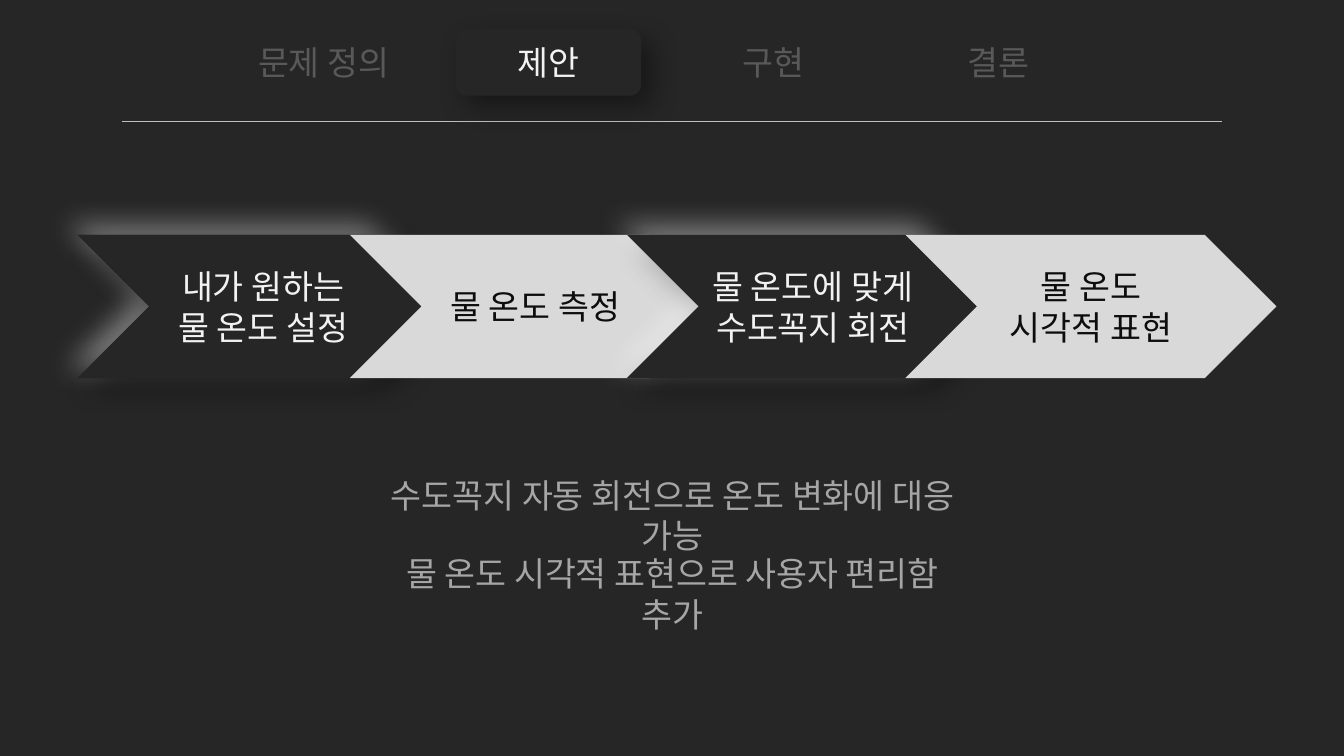
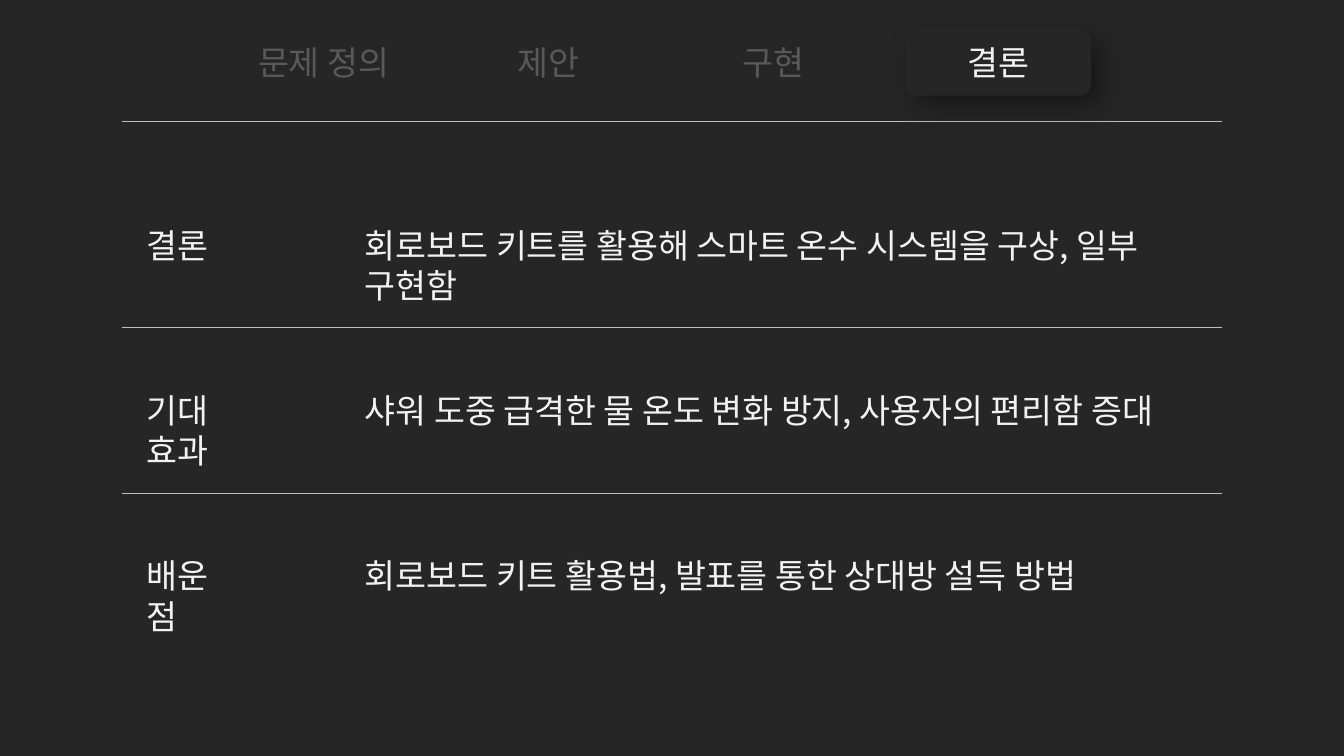
import dataclasses

import lxml.etree
import pptx
import pptx.dml.color
import pptx.enum.shapes
import pptx.enum.text
import pptx.oxml.ns
import pptx.util

Inches, Pt = pptx.util.Inches, pptx.util.Pt
RGB = pptx.dml.color.RGBColor.from_string
SHAPE = pptx.enum.shapes.MSO_SHAPE
ALIGN = pptx.enum.text.PP_ALIGN
ANCHOR = pptx.enum.text.MSO_ANCHOR
qn = pptx.oxml.ns.qn


@dataclasses.dataclass(frozen=True)
class Theme:
    """Colours, type and shadows shared by the slides."""
    back: str = "262626"
    panel: str = "D9D9D9"
    light: str = "F2F2F2"
    dark: str = "0D0D0D"
    soft: str = "A6A6A6"
    dim: str = "595959"
    rule: str = "BFBFBF"
    font: str = "Noto Sans CJK KR"
    size: float = 24
    leading: float = 28.8
    rule_width: float = 0.5
    shade: tuple = ("000000", 45)
    glow: tuple = ("FFFFFF", 225)


T = Theme()
TABS = ["문제 정의", "제안", "구현", "결론"]
STEPS = [
    (0.77, ["내가 원하는", "물 온도 설정"], T.back, T.light, [T.glow, T.shade]),
    (3.47, ["물 온도 측정"], T.panel, T.dark, [None]),
    (6.22, ["물 온도에 맞게 수도꼭지 회전"], T.back, T.light, [T.shade, T.glow]),
    (8.98, ["물 온도", "시각적 표현"], T.panel, T.dark, [None]),
]
BENEFITS = ["수도꼭지 자동 회전으로 온도 변화에 대응 가능",
            "물 온도 시각적 표현으로 사용자 편리함 추가"]
FINDINGS = [
    ("결론", "회로보드 키트를 활용해 스마트 온수 시스템을 구상, 일부 구현함"),
    ("기대 효과", "샤워 도중 급격한 물 온도 변화 방지, 사용자의 편리함 증대"),
    ("배운점", "회로보드 키트 활용법, 발표를 통한 상대방 설득 방법"),
]


def assign(obj, values):
    """Set each named attribute of an object."""
    for name, value in values.items():
        setattr(obj, name, value)


def write(sp, lines, color, align=ALIGN.CENTER, anchor=ANCHOR.MIDDLE):
    """Fill a shape with formatted paragraphs."""
    tf = sp.text_frame
    assign(tf, dict(word_wrap=True, vertical_anchor=anchor,
                    auto_size=pptx.enum.text.MSO_AUTO_SIZE.NONE,
                    margin_left=Inches(0.1), margin_right=Inches(0.1),
                    margin_top=Inches(0.05), margin_bottom=Inches(0.05)))
    for i, line in enumerate(lines):
        p = tf.add_paragraph() if i else tf.paragraphs[0]
        assign(p, dict(alignment=align, line_spacing=Pt(T.leading),
                       space_before=Pt(0)))
        r = p.add_run()
        r.text = line
        assign(r.font, dict(name=T.font, size=Pt(T.size)))
        r.font.color.rgb = RGB(color)
        ea = lxml.etree.SubElement(r._r.get_or_add_rPr(), qn("a:ea"))
        ea.set("typeface", T.font)


def add_block(s, kind, box, fill, shadow=None):
    """Add a borderless shape, with an outer shadow if one is given."""
    sp = s.shapes.add_shape(kind, *map(Inches, box))
    sp.fill.solid()
    sp.fill.fore_color.rgb = RGB(fill)
    sp.line.fill.background()
    sp.shadow.inherit = False
    if shadow:
        color, angle = shadow
        effects = sp.element.spPr.find(qn("a:effectLst"))
        outer = lxml.etree.SubElement(effects, qn("a:outerShdw"), {
            "blurRad": str(Pt(20)), "dist": str(Pt(10)),
            "dir": str(angle * 60000), "algn": "ctr", "rotWithShape": "0"})
        clr = lxml.etree.SubElement(outer, qn("a:srgbClr"), val=color)
        lxml.etree.SubElement(clr, qn("a:alpha"), val="40000")
    return sp


def add_text(parent, box, text, color, align):
    """Add a top-anchored text box to a slide or group."""
    sp = parent.shapes.add_textbox(*map(Inches, box))
    write(sp, [text], color, align, ANCHOR.TOP)


def add_rule(s, x, y, w):
    """Draw a thin horizontal divider."""
    c = s.shapes.add_connector(pptx.enum.shapes.MSO_CONNECTOR.STRAIGHT,
                               Inches(x), Inches(y), Inches(x + w), Inches(y))
    c.line.color.rgb = RGB(T.rule)
    c.line.width = Pt(T.rule_width)
    lxml.etree.SubElement(c.element.spPr, qn("a:effectLst"))


def add_navigation(s, x, y, active):
    """Place the tabs, with the slide title on the active one."""
    w, h, pitch = 1.84, 0.66, 2.23
    order = sorted(range(len(TABS)), key=lambda i: TABS[i] == active)
    for i in order:
        on = TABS[i] == active
        box = (x + i * pitch, y, w, h)
        sp = add_block(s, SHAPE.ROUNDED_RECTANGLE, box, T.back,
                       T.shade if on else None)
        if on:
            title = s.shapes.title
            assign(title, dict(zip(("left", "top", "width", "height"),
                                   map(Inches, box))))
            sp.element.addnext(title.element)
            sp = title
        write(sp, [TABS[i]], T.light if on else T.dim)


def add_steps(s, y, w, h):
    """Place the chevron process, one layer for each shadow."""
    for x, lines, fill, color, shadows in STEPS:
        for shadow in shadows:
            sp = add_block(s, SHAPE.CHEVRON, (x, y, w, h), fill, shadow)
        write(sp, lines, color)


def add_benefits(s, x, y, w):
    """Stack the centred benefit statements."""
    for i, text in enumerate(BENEFITS):
        add_text(s, (x, y + i * 0.78, w, 0.5), text, T.soft, ALIGN.CENTER)


def add_findings(s, x, y, w):
    """Stack labelled findings with dividers between them."""
    pitch = 1.64
    for i, (label, body) in enumerate(FINDINGS):
        top = y + i * pitch
        g = s.shapes.add_group_shape()
        add_text(g, (x + 0.15, top, 1.07, 0.5), label, T.light, ALIGN.LEFT)
        add_text(g, (x + 2.31, top, 8.46, 0.5), body, T.light, ALIGN.LEFT)
        if i:
            add_rule(s, x, top - 0.57, w)


def add_page(prs, active):
    """Start a slide with its navigation and divider."""
    s = prs.slides.add_slide(prs.slide_layouts[5])
    add_rule(s, 1.21, 1.2, 10.91)
    add_navigation(s, 2.29, 0.29, active)
    return s


def main():
    """Build and save the presentation."""
    prs = pptx.Presentation()
    assign(prs, dict(slide_width=Inches(13.33), slide_height=Inches(7.5)))
    fill = prs.slide_master.background.fill
    fill.solid()
    fill.fore_color.rgb = RGB(T.back)

    s = add_page(prs, "제안")
    add_steps(s, 2.33, 3.68, 1.42)
    add_benefits(s, 3.7, 4.66, 5.94)

    s = add_page(prs, "결론")
    add_findings(s, 1.21, 2.18, 10.91)
    prs.save("out.pptx")


if __name__ == "__main__":
    main()
